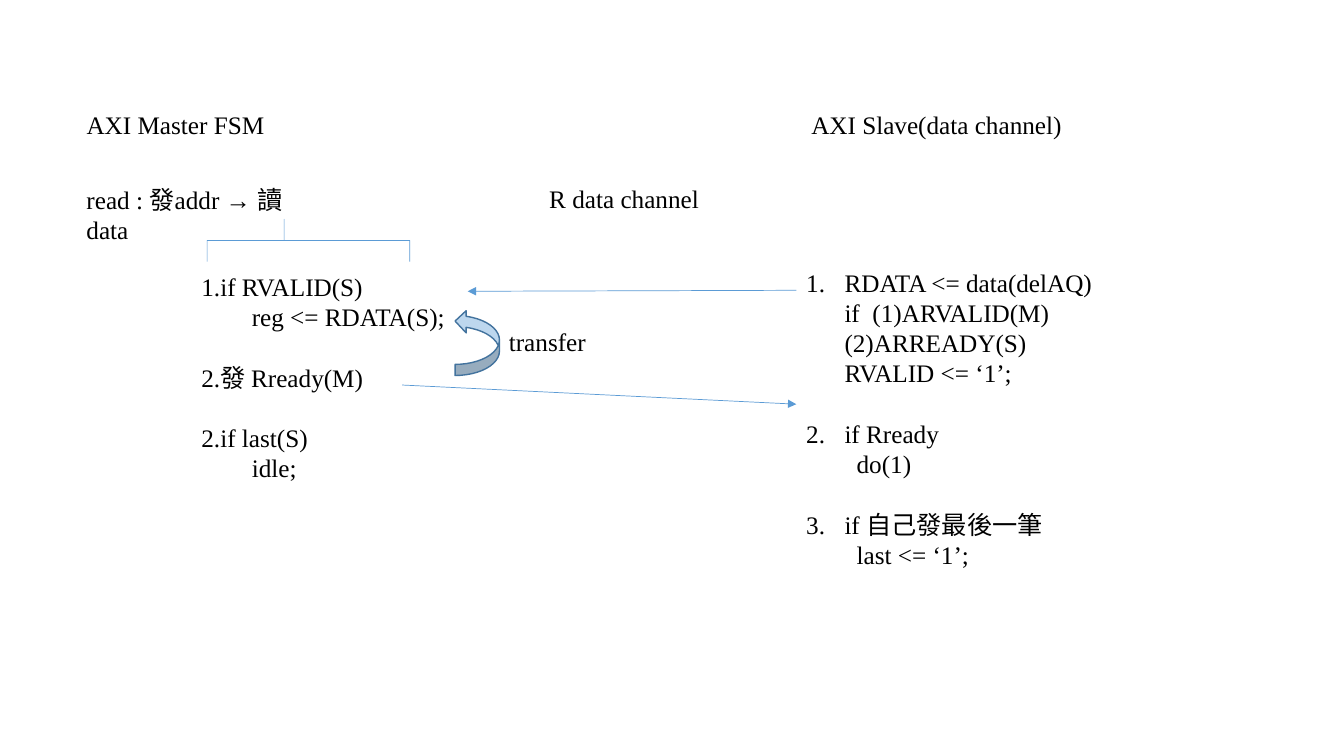
"""Draw the AXI read handshake between a master FSM and a slave on one slide."""
from lxml import etree
from pptx import Presentation, util as u
from pptx.dml.color import RGBColor
from pptx.enum import shapes, text
from pptx.oxml.ns import qn

COLS, ROWS = 40, 22.5


def rgb(value):
    """Turn a hex string into a colour."""
    return RGBColor.from_string(value)


def write(p, content, size=18, font="Times New Roman", asian="Noto Sans CJK SC",
          color="000000", indent=0, number=None, before=0):
    """Fill a paragraph with formatted text, optionally indented or numbered."""
    p.text = content
    p.space_before = u.Pt(before)
    pr = p._p.get_or_add_pPr()
    pr.set("marL", str(u.Inches(indent)))
    if number:
        pr.set("indent", str(-u.Inches(indent)))
        etree.SubElement(pr, qn("a:buAutoNum"), type="arabicPeriod", startAt=str(number))
    for r in p.runs:
        r.font.size, r.font.name = u.Pt(size), font
        r.font.color.rgb = rgb(color)
        etree.SubElement(r._r.get_or_add_rPr(), qn("a:ea"), typeface=asian)


class Board:
    """Hold the line style and the current slide, measured in grid cells."""

    def __init__(self, prs, line="5B9BD5", weight=0.5):
        """Add a blank slide and derive the cell size from the slide."""
        self.s = prs.slides.add_slide(prs.slide_layouts[6])
        self.cw, self.rh = prs.slide_width / COLS, prs.slide_height / ROWS
        self.line, self.weight = line, weight

    def cells(self, *values):
        """Convert alternating columns and rows to lengths."""
        return [int(v * (self.rh if i % 2 else self.cw)) for i, v in enumerate(values)]

    def text(self, x, y, w, h, *paragraphs):
        """Add a text box from (content, format) pairs."""
        tf = self.s.shapes.add_textbox(*self.cells(x, y, w, h)).text_frame
        tf.word_wrap = True
        tf.auto_size = text.MSO_AUTO_SIZE.NONE
        for i, (content, style) in enumerate(paragraphs):
            write(tf.add_paragraph() if i else tf.paragraphs[0], content, **style)

    def label(self, x, y, w, content):
        """Add a one-paragraph text box."""
        self.text(x, y, w, 1.2, (content, {}))

    def shape(self, kind, x, y, w, h, turn, fill=None, line=None, weight=None, adjust=()):
        """Add a rotated preset shape."""
        sp = self.s.shapes.add_shape(kind, *self.cells(x, y, w, h))
        sp.shadow.inherit = False
        sp.rotation = turn
        for i, value in enumerate(adjust):
            sp.adjustments[i] = value
        if fill:
            sp.fill.solid()
            sp.fill.fore_color.rgb = rgb(fill)
        else:
            sp.fill.background()
        sp.line.color.rgb = rgb(line or self.line)
        sp.line.width = u.Pt(weight or self.weight)

    def arrow(self, *ends):
        """Add a straight arrow from one grid point to another."""
        sp = self.s.shapes.add_connector(shapes.MSO_CONNECTOR.STRAIGHT, *self.cells(*ends))
        sp.line.color.rgb = rgb(self.line)
        sp.line.width = u.Pt(self.weight)
        etree.SubElement(sp.line._get_or_add_ln(), qn("a:tailEnd"), type="triangle")
        etree.SubElement(sp._element.spPr, qn("a:effectLst"))


def main():
    """Build and save the slide."""
    prs = Presentation()
    prs.slide_width, prs.slide_height = u.Inches(13.33), u.Inches(7.5)
    board = Board(prs)
    nested, gap = {"indent": 0.5}, {"before": 21.6}
    item = {"indent": 0.38}

    board.text(5.7, 7.92, 8.7, 6.66,
               ("1.if RVALID(S)", {}), ("reg <= RDATA(S);", nested),
               ("2.發 Rready(M)", gap),
               ("2.if last(S)", gap), ("idle;", nested))
    board.text(23.7, 7.8, 13.35, 8.49,
               ("RDATA <= data(delAQ)\vif  (1)ARVALID(M)\v(2)ARREADY(S)\vRVALID <= ‘1’;",
                {**item, "number": 1}),
               ("if Rready", {**item, **gap, "number": 2}), ("do(1)", nested),
               ("if 自己發最後一筆", {**item, **gap, "number": 3}), ("last <= ‘1’;", nested))

    board.label(2.28, 3.12, 6.3, "AXI Master FSM")
    board.label(23.85, 3.12, 8.4, "AXI Slave(data channel)")
    board.label(2.28, 5.34, 7.8, "read : 發addr → 讀\vdata")
    board.label(16.05, 5.31, 5.4, "R data channel")
    board.label(14.85, 9.57, 3.3, "transfer")

    board.shape(shapes.MSO_SHAPE.LEFT_BRACE, 8.55, 4.14, 1.26, 6.03, 90, adjust=(0, 0.62))
    board.shape(shapes.MSO_SHAPE.CURVED_UP_ARROW, 13.23, 9.54, 1.95, 1.32, 270,
                fill="BDD7EE", line="43739E", weight=1)
    board.arrow(23.7, 8.64, 13.92, 8.67)
    board.arrow(11.97, 11.46, 23.7, 12.03)
    prs.save("out.pptx")


main()
